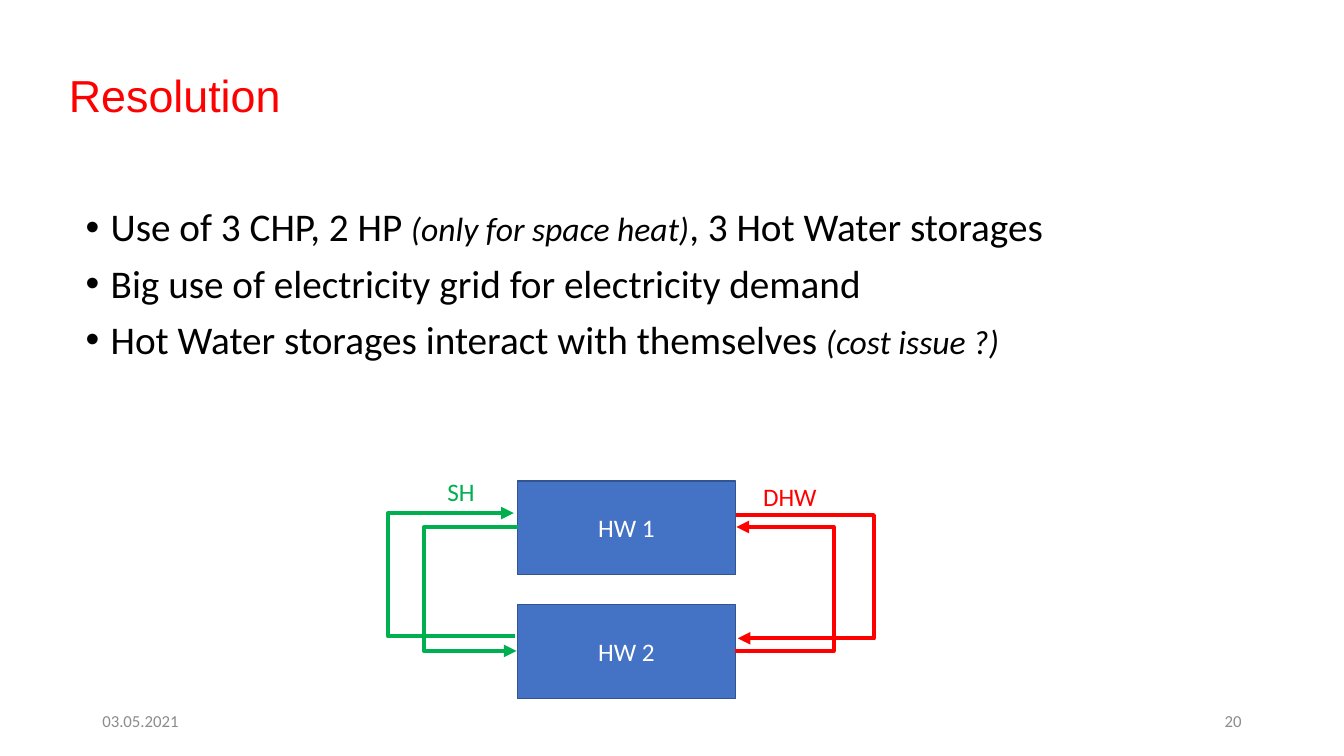
from dataclasses import dataclass

from lxml import etree
from pptx import Presentation
from pptx.dml.color import RGBColor
from pptx.enum.shapes import MSO_CONNECTOR, MSO_SHAPE
from pptx.enum.text import MSO_ANCHOR, PP_ALIGN
from pptx.oxml.ns import qn
from pptx.util import Pt

ELBOW = MSO_CONNECTOR.ELBOW
RECT = MSO_SHAPE.RECTANGLE
MIDDLE = MSO_ANCHOR.MIDDLE
TOP = MSO_ANCHOR.TOP
LEFT, CENTER, RIGHT = PP_ALIGN.LEFT, PP_ALIGN.CENTER, PP_ALIGN.RIGHT


@dataclass(frozen=True)
class Theme:
    """Fonts, colours and type sizes of the slide."""
    head: str = "Arial"
    body: str = "Calibri"
    black: str = "000000"
    white: str = "FFFFFF"
    gray: str = "8C8C8C"
    red: str = "FF0000"
    green: str = "00B050"
    blue: str = "4472C4"
    edge: str = "325491"
    title: int = 32
    list: int = 28
    aside: int = 24
    label: int = 18
    foot: int = 12


THEME = Theme()


def color(code):
    """Turn a hex code into a colour."""
    return RGBColor.from_string(code)


def style(para, size, code, face=THEME.body, align=LEFT):
    """Set the font and alignment of a paragraph."""
    para.alignment = align
    para.font.name = face
    para.font.size = Pt(size)
    para.font.color.rgb = color(code)


def add_title(slide, text):
    """Fill and place the title."""
    title = slide.shapes.title
    title.left, title.top, title.width, title.height = Pt(42), Pt(33), Pt(289), Pt(74)
    title.text_frame.text = text
    title.text_frame.vertical_anchor = MIDDLE
    para = title.text_frame.paragraphs[0]
    para.line_spacing = 0.9
    style(para, THEME.title, THEME.red, THEME.head)


def add_text(slide, text, box, size, code, align=LEFT, anchor=TOP):
    """Add a one-line text box."""
    frame = slide.shapes.add_textbox(*map(Pt, box)).text_frame
    frame.word_wrap = True
    frame.vertical_anchor = anchor
    frame.text = text
    style(frame.paragraphs[0], size, code, align=align)


def add_list(slide, items, box):
    """Add bullets whose odd parts are smaller italic asides."""
    frame = slide.shapes.add_textbox(*map(Pt, box)).text_frame
    frame.word_wrap = True
    for row, parts in enumerate(items):
        para = frame.add_paragraph() if row else frame.paragraphs[0]
        style(para, THEME.list, THEME.black)
        para.line_spacing = 0.9
        para.space_before = Pt(10)
        props = para._p.get_or_add_pPr()
        props.set("marL", str(Pt(18)))
        props.set("indent", str(-Pt(18)))
        mark = etree.Element(qn("a:buFont"), typeface=THEME.head)
        dot = etree.Element(qn("a:buChar"), char="•")
        spot = props.index(props.find(qn("a:defRPr")))
        props[spot:spot] = [mark, dot]
        for place, part in enumerate(parts):
            run = para.add_run()
            run.text = part
            if place % 2:
                run.font.size = Pt(THEME.aside)
                run.font.italic = True


def add_tank(slide, text, box):
    """Add a storage box."""
    tank = slide.shapes.add_shape(RECT, *map(Pt, box))
    tank.shadow.inherit = False
    tank.fill.solid()
    tank.fill.fore_color.rgb = color(THEME.blue)
    tank.line.color.rgb = color(THEME.edge)
    tank.line.width = Pt(1)
    tank.text_frame.text = text
    tank.text_frame.vertical_anchor = MIDDLE
    style(tank.text_frame.paragraphs[0], THEME.label, THEME.white, align=CENTER)


def add_flow(slide, start, end, bend, code):
    """Add an elbow arrow that turns at the x value of bend."""
    flow = slide.shapes.add_connector(ELBOW, *map(Pt, start + end))
    flow.line.color.rgb = color(code)
    flow.line.width = Pt(3)
    ratio = round((bend - start[0]) / (end[0] - start[0]) * 100000)
    props = flow._element.spPr
    guides = props.find(qn("a:prstGeom")).get_or_add_avLst()
    etree.SubElement(guides, qn("a:gd"), name="adj1", fmla=f"val {ratio}")
    etree.SubElement(flow.line._get_or_add_ln(), qn("a:tailEnd"), type="triangle")
    etree.SubElement(props, qn("a:effectLst"))


def main():
    """Build and save the slide."""
    deck = Presentation()
    deck.slide_width, deck.slide_height = Pt(960), Pt(540)
    slide = deck.slides.add_slide(deck.slide_layouts[5])

    add_title(slide, "Resolution")
    add_list(slide, [
        ("Use of 3 CHP, 2 HP ", "(only for space heat)", ", 3 Hot Water storages"),
        ("Big use of electricity grid for electricity demand",),
        ("Hot Water storages interact with themselves ", "(cost issue ?)"),
    ], (54, 145, 852, 159))

    for row, name in enumerate(("HW 1", "HW 2")):
        add_tank(slide, name, (369.5, 343.5 + 88.5 * row, 156, 67))

    for start, end, bend, code in (
        ((525, 465), (526, 376.5), 596, THEME.red),
        ((526, 368), (527, 456), 625, THEME.red),
        ((370, 376.5), (369, 465), 302.5, THEME.green),
        ((368, 454.5), (367, 366.5), 276.5, THEME.green),
    ):
        add_flow(slide, start, end, bend, code)

    add_text(slide, "SH", (312.5, 337, 40, 29), THEME.label, THEME.green)
    add_text(slide, "DHW", (538, 340, 56, 29), THEME.label, THEME.red)
    for text, left, align in (("03.05.2021", 66, LEFT), ("20", 678, RIGHT)):
        add_text(slide, text, (left, 500, 216, 29), THEME.foot, THEME.gray,
                 align, MIDDLE)

    deck.save("out.pptx")


if __name__ == "__main__":
    main()
